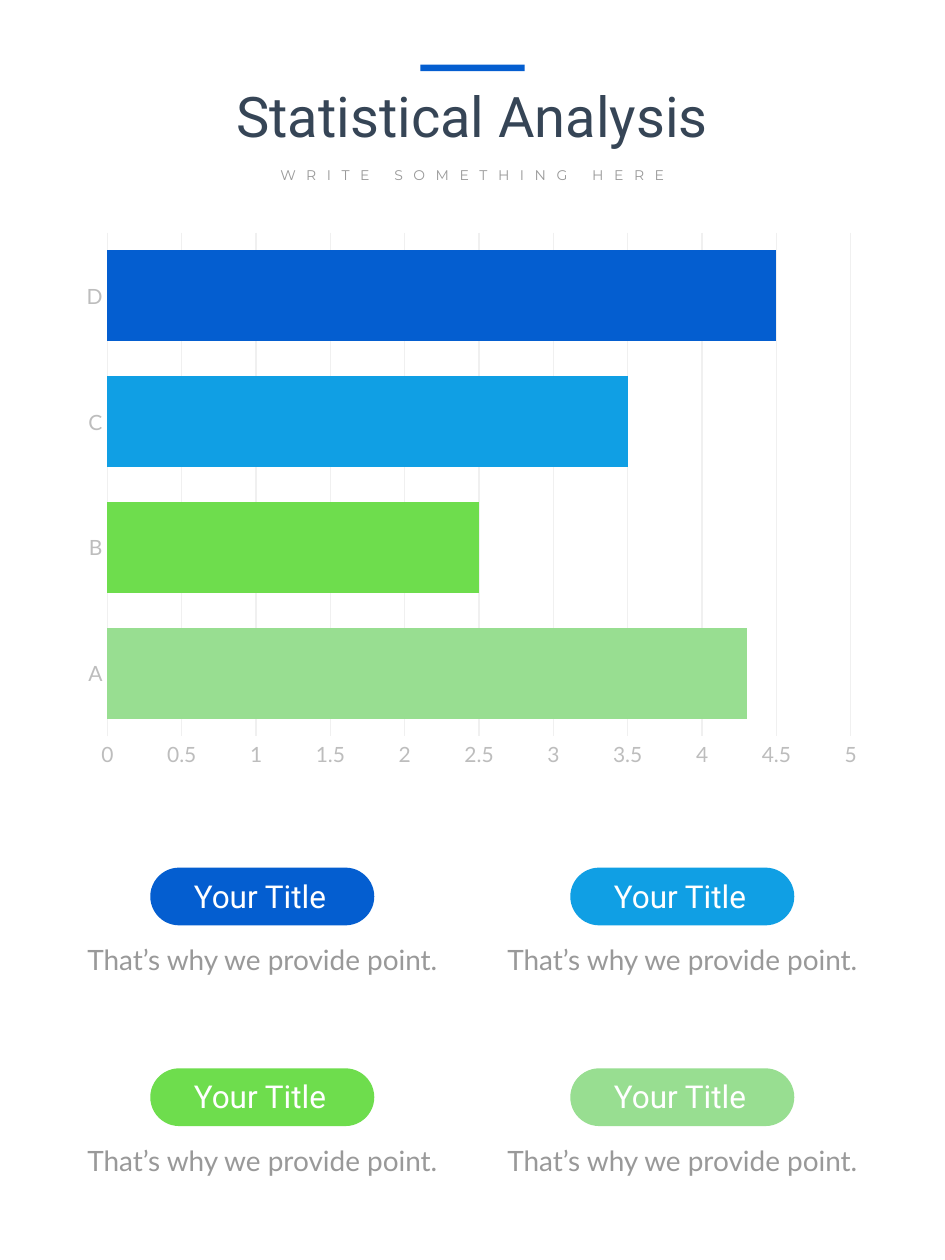
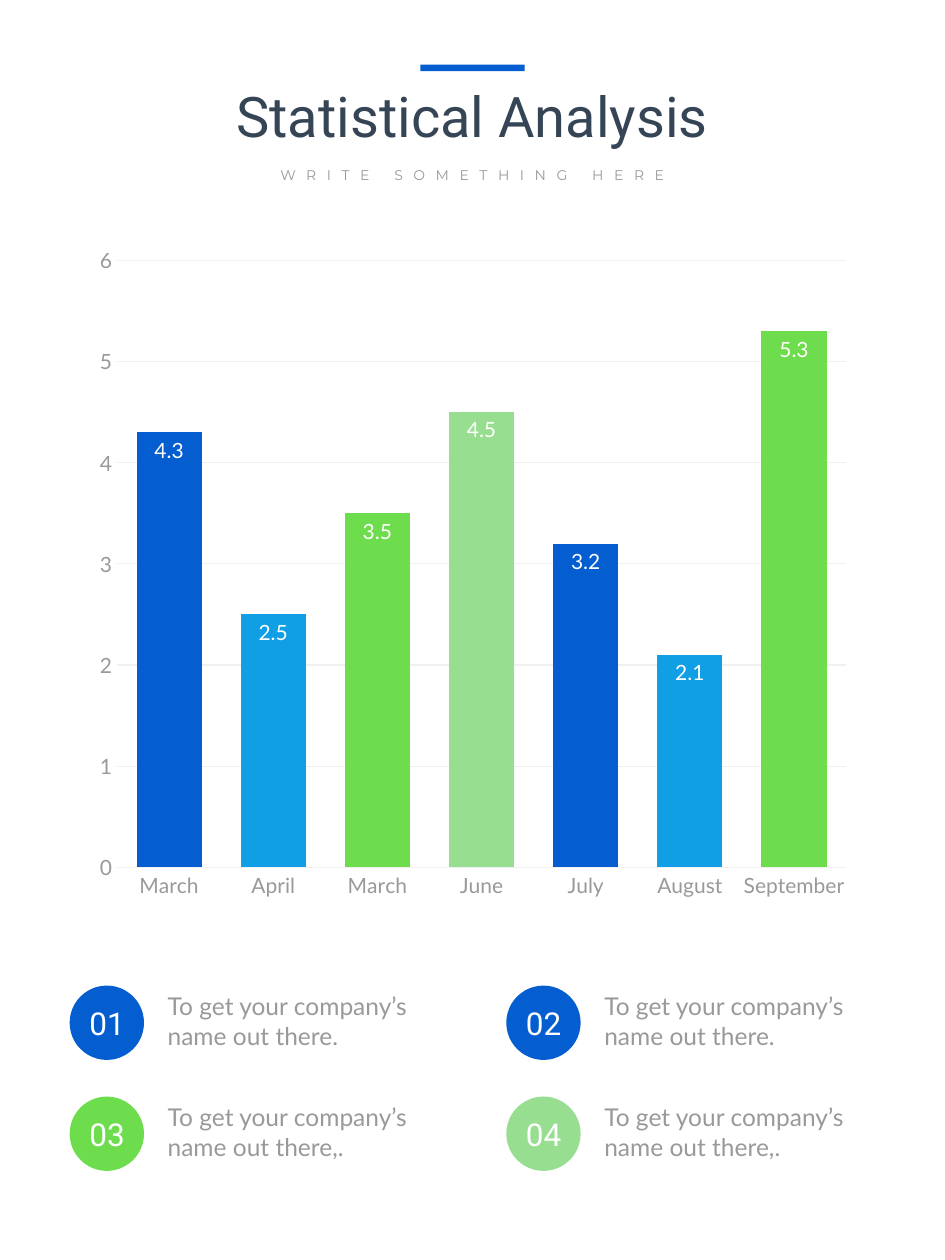
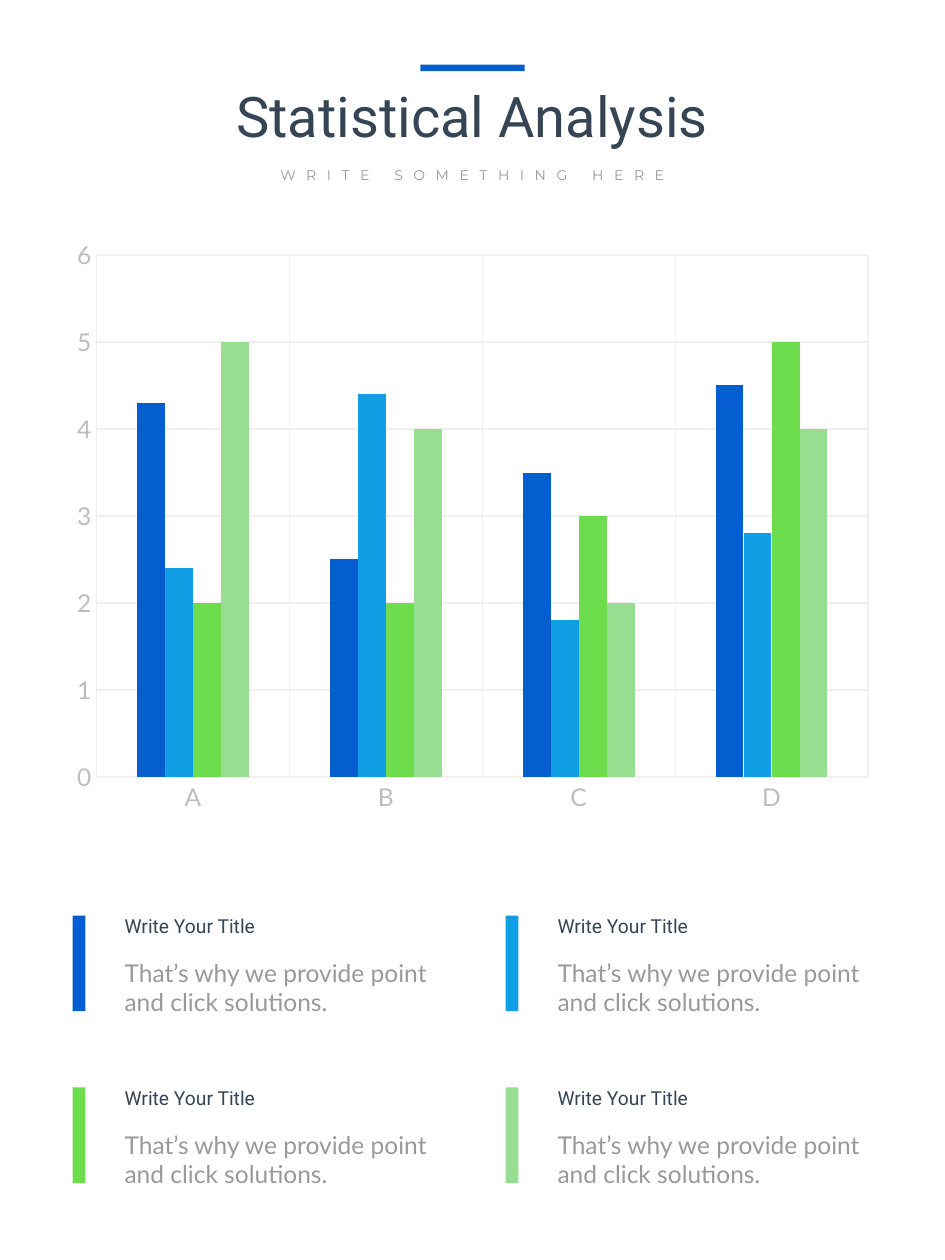
from pptx import Presentation
from pptx.chart.data import CategoryChartData
from pptx.dml.color import RGBColor
from pptx.enum.chart import XL_CHART_TYPE, XL_LABEL_POSITION, XL_TICK_MARK
from pptx.enum.shapes import MSO_SHAPE
from pptx.enum.text import MSO_AUTO_SIZE, PP_ALIGN
from pptx.util import Pt

NAVY, SKY, GREEN, MINT = "045ED0", "109FE4", "6EDD4D", "98DE91"
INK, GRAY, PALE, RULE, WHITE = "364556", "999999", "BDBDBD", "F0F0F0", "FFFFFF"
HEAD, BODY, THIN = "Roboto", "Lato", "Montserrat"
HUES = [NAVY, SKY, GREEN, MINT]


def tint(code):
    return RGBColor.from_string(code)


def paint(fill, code):
    fill.solid()
    fill.fore_color.rgb = tint(code)


def style(font, size, code, face):
    font.size = Pt(size)
    font.name = face
    font.color.rgb = tint(code)


def cells(wide, high):
    return [(col * wide, row * high) for row in range(2) for col in range(2)]


class Deck:
    def __init__(self):
        self.file = Presentation()
        self.file.slide_width = Pt(540)
        self.file.slide_height = Pt(720)

    def page(self):
        self.slide = self.file.slides.add_slide(self.file.slide_layouts[6])
        self.text(113.8, 43.2, 312.5, 46.1, "Statistical Analysis", 32, INK, HEAD, True)
        self.text(146.9, 91.4, 246.2, 17.3, "WRITE SOMETHING HERE", 8, GRAY, THIN, True, 6)
        self.shape(MSO_SHAPE.RECTANGLE, 240.2, 36.9, 59.6, 3.7, NAVY)

    def text(self, left, top, wide, high, words, size, code, face, mid=False, gap=0):
        box = self.slide.shapes.add_textbox(Pt(left), Pt(top), Pt(wide), Pt(high))
        frame = box.text_frame
        frame.word_wrap = True
        frame.auto_size = MSO_AUTO_SIZE.SHAPE_TO_FIT_TEXT
        para = frame.paragraphs[0]
        para.alignment = PP_ALIGN.CENTER if mid else PP_ALIGN.LEFT
        run = para.add_run()
        run.text = words
        style(run.font, size, code, face)
        if gap:
            run._r.get_or_add_rPr().set("spc", str(gap * 100))

    def shape(self, kind, left, top, wide, high, code):
        form = self.slide.shapes.add_shape(kind, Pt(left), Pt(top), Pt(wide), Pt(high))
        form.shadow.inherit = False
        paint(form.fill, code)
        form.line.fill.background()
        return form

    def chart(self, kind, left, top, wide, high, names, rows, hues, size, code,
              peak, unit, gap, lap=0):
        data = CategoryChartData()
        data.categories = names
        for num, row in enumerate(rows, 1):
            data.add_series(f"Series {num}", row)
        chart = self.slide.shapes.add_chart(
            kind, Pt(left), Pt(top), Pt(wide), Pt(high), data).chart
        chart.has_legend = False
        chart.has_title = False
        style(chart.font, size, GRAY, BODY)
        for axis in (chart.category_axis, chart.value_axis):
            axis.major_tick_mark = axis.minor_tick_mark = XL_TICK_MARK.NONE
            style(axis.tick_labels.font, size, code, BODY)
        self.rule(chart.category_axis.format.line)
        value = chart.value_axis
        value.format.line.fill.background()
        value.minimum_scale, value.maximum_scale, value.major_unit = 0, peak, unit
        self.rule(value.major_gridlines.format.line)
        plot = chart.plots[0]
        plot.vary_by_categories = False
        plot.gap_width, plot.overlap = gap, lap
        for num, row in enumerate(plot.series):
            row.invert_if_negative = False
            paint(row.format.fill, hues[num])
            if len(rows) == 1:
                for spot, hue in enumerate(hues):
                    paint(row.points[spot].format.fill, hue)
        return chart

    def rule(self, line):
        line.color.rgb = tint(RULE)
        line.width = Pt(0.75)

    def label(self, chart, size):
        plot = chart.plots[0]
        plot.has_data_labels = True
        tags = plot.data_labels
        tags.show_value = True
        tags.position = XL_LABEL_POSITION.INSIDE_END
        style(tags.font, size, WHITE, BODY)


def bars(deck):
    deck.page()
    deck.chart(XL_CHART_TYPE.BAR_CLUSTERED, 40.3, 126.7, 458.6, 317.5, "ABCD",
               [[4.3, 2.5, 3.5, 4.5]], [MINT, GREEN, SKY, NAVY], 12, PALE, 5, 0.5, 39)
    for (x, y), hue in zip(cells(240, 114.7), HUES):
        pill = deck.shape(MSO_SHAPE.ROUNDED_RECTANGLE, 85.9 + x, 495.8 + y, 128, 33, hue)
        pill.adjustments[0] = 0.5
        deck.text(33.7 + x, 535.2 + y, 232.6, 26.6, "That’s why we provide point.",
                  16, GRAY, BODY, True)
        deck.text(93.5 + x, 497.5 + y, 110.2, 28.8, "Your Title", 18, WHITE, HEAD, True)


def months(deck):
    deck.page()
    names = ["March", "April", "March", "June", "July", "August", "September"]
    chart = deck.chart(XL_CHART_TYPE.COLUMN_CLUSTERED, 48.2, 133.9, 444.2, 386.6, names,
                       [[4.3, 2.5, 3.5, 4.5, 3.2, 2.1, 5.3]], HUES + HUES[:3],
                       12, GRAY, 6, 1, 60, 7)
    deck.label(chart, 12)
    ends = [".", ".", ",.", ",."]
    hues = [NAVY, NAVY, GREEN, MINT]
    for num, ((x, y), hue, end) in enumerate(zip(cells(249.5, 63.4), hues, ends), 1):
        deck.shape(MSO_SHAPE.OVAL, 39.8 + x, 563.2 + y, 42.5, 42.5, hue)
        deck.text(33.5 + x, 570.2 + y, 55.4, 28.8, f"{num:02}", 18, WHITE, HEAD, True)
        deck.text(88.7 + x, 563 + y, 162, 41, "To get your company’s name out there" + end,
                  14, GRAY, BODY)


def groups(deck):
    deck.page()
    rows = [[4.3, 2.5, 3.5, 4.5], [2.4, 4.4, 1.8, 2.8], [2, 2, 3, 5], [5, 4, 2, 4]]
    chart = deck.chart(XL_CHART_TYPE.COLUMN_CLUSTERED, 34.6, 130.3, 470.9, 340.6, "ABCD",
                       rows, HUES, 14, PALE, 6, 1, 293, -1)
    deck.rule(chart.category_axis.major_gridlines.format.line)
    for (x, y), hue in zip(cells(247.4, 98.2), HUES):
        deck.shape(MSO_SHAPE.RECTANGLE, 41.5 + x, 523.2 + y, 7.3, 54.7, hue)
        deck.text(64.1 + x, 543.8 + y, 206, 41,
                  "That’s why we provide point and click solutions.", 14, GRAY, BODY)
        deck.text(64.1 + x, 519 + y, 144.7, 20.9, "Write Your Title", 11, INK, HEAD)


def main():
    deck = Deck()
    bars(deck)
    months(deck)
    groups(deck)
    deck.file.save("out.pptx")


if __name__ == "__main__":
    main()
